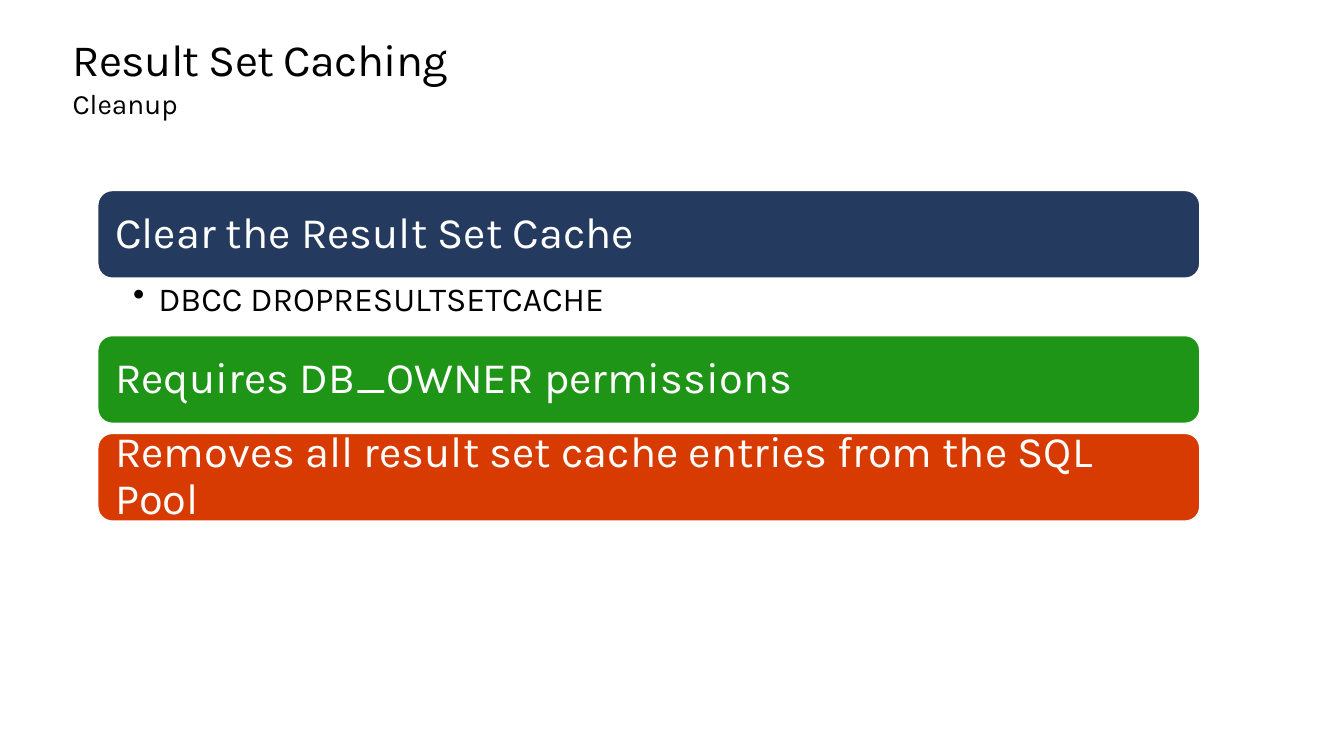
from pptx import Presentation, util as u
from pptx.dml.color import RGBColor
from pptx.enum import shapes, text
from pptx.oxml import parse_xml
from pptx.oxml.ns import nsdecls

PX = 9144  # 100 px to the inch
FONT = "Karla"
BLACK = RGBColor(0x00, 0x00, 0x00)
WHITE = RGBColor(0xFF, 0xFF, 0xFF)
NAVY = RGBColor(0x24, 0x3A, 0x5E)
GREEN = RGBColor(0x1F, 0x95, 0x18)
RED = RGBColor(0xD8, 0x3B, 0x01)

LEFT, WIDTH = 97, 1093
BAR = 87
BANNERS = [
    (189, "Clear the Result Set Cache", NAVY),
    (333, "Requires DB_OWNER permissions", GREEN),
    (430, "Removes all result set cache entries from the SQL Pool", RED),
]


def px(*sizes):
    return [u.Emu(size * PX) for size in sizes]


def write(shape, words, size, color, inset, anchor=text.MSO_ANCHOR.TOP):
    """Fill a shape with one left-aligned paragraph and return it."""
    frame = shape.text_frame
    frame.text = words
    frame.word_wrap = True
    frame.auto_size = text.MSO_AUTO_SIZE.NONE
    frame.vertical_anchor = anchor
    (frame.margin_left, frame.margin_top,
     frame.margin_right, frame.margin_bottom) = px(*inset)
    para = frame.paragraphs[0]
    para.alignment = text.PP_ALIGN.LEFT
    font = para.runs[0].font
    font.name, font.size = FONT, u.Pt(size)
    font.color.rgb = color
    return para


def add_title(slide, words):
    title = slide.shapes.title
    title.left, title.top, title.width, title.height = px(72, 35, 1190, 50)
    title.fill.solid()
    title.fill.fore_color.rgb = WHITE
    para = write(title, words, 32, BLACK, (0, 0, 0, 0))
    para.line_spacing = u.Pt(36.2)
    para.runs[0].font._element.set("spc", "-50")


def add_label(slide, words):
    box = slide.shapes.add_textbox(*px(72, 86, 1190, 50))
    write(box, words, 20, BLACK, (0, 0, 0, 0))


def add_banner(slide, top, words, color):
    bar = slide.shapes.add_shape(
        shapes.MSO_SHAPE.ROUNDED_RECTANGLE, *px(LEFT, top, WIDTH, BAR))
    bar.shadow.inherit = False
    bar.fill.solid()
    bar.fill.fore_color.rgb = color
    bar.line.color.rgb = WHITE
    bar.line.width = u.Pt(1)
    para = write(bar, words, 31, WHITE, (13, 13, 13, 13),
                 text.MSO_ANCHOR.MIDDLE)
    para.line_spacing = 0.9


def add_bullet(slide, top, words):
    box = slide.shapes.add_textbox(*px(LEFT, top, WIDTH, 56))
    para = write(box, words, 24, BLACK, (35, 4, 24, 4))
    props = para._p.get_or_add_pPr()
    props.set("marL", str(25 * PX))
    props.set("indent", str(-25 * PX))
    props.append(parse_xml(f'<a:buChar {nsdecls("a")} char="•"/>'))
    para.line_spacing = 0.9


def main():
    deck = Presentation()
    deck.slide_width, deck.slide_height = u.Inches(13.33), u.Inches(7.5)
    slide = deck.slides.add_slide(deck.slide_layouts[5])
    add_title(slide, "Result Set Caching")
    add_label(slide, "Cleanup")
    for banner in BANNERS:
        add_banner(slide, *banner)
    add_bullet(slide, BANNERS[0][0] + BAR, "DBCC DROPRESULTSETCACHE")
    deck.save("out.pptx")


if __name__ == "__main__":
    main()
